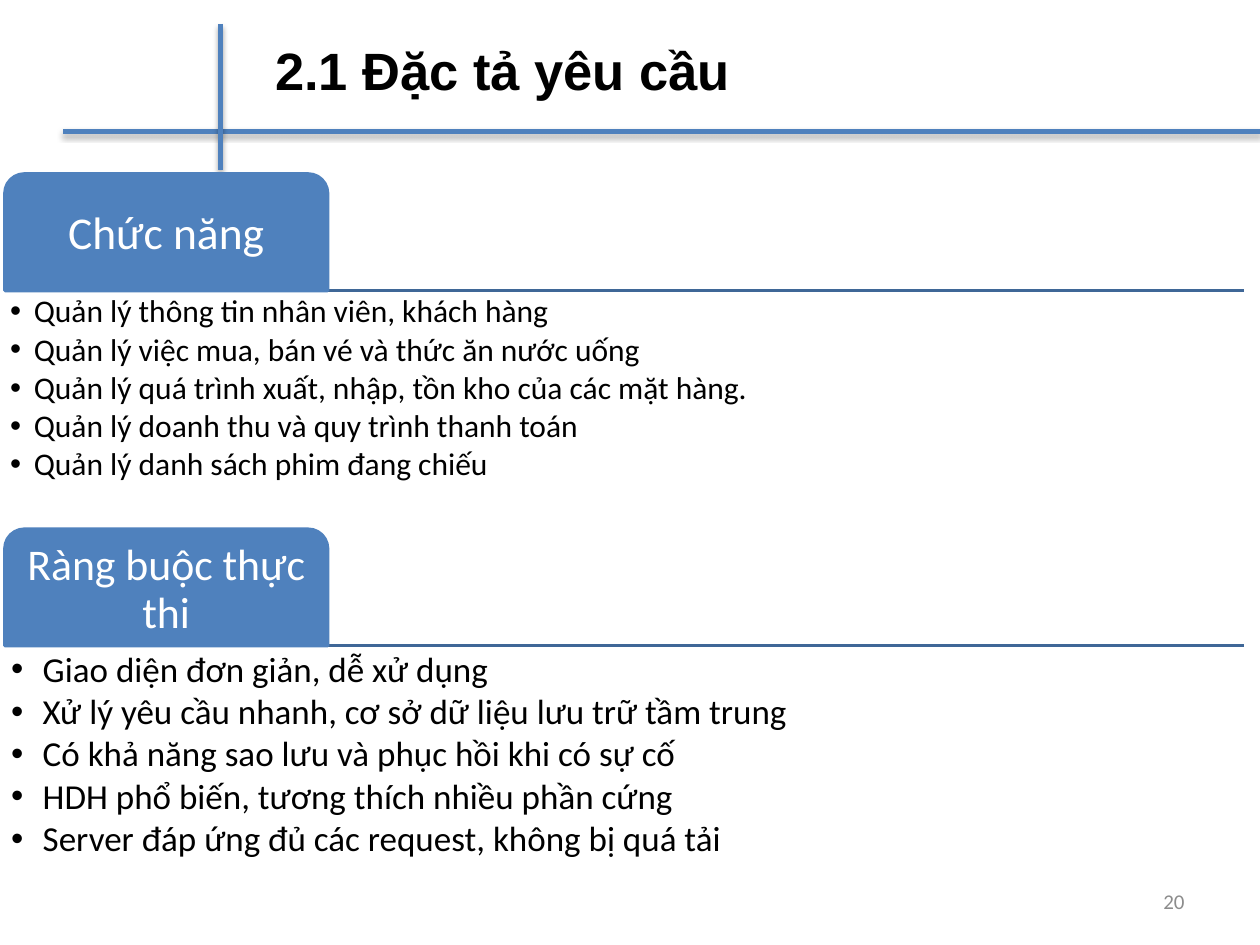
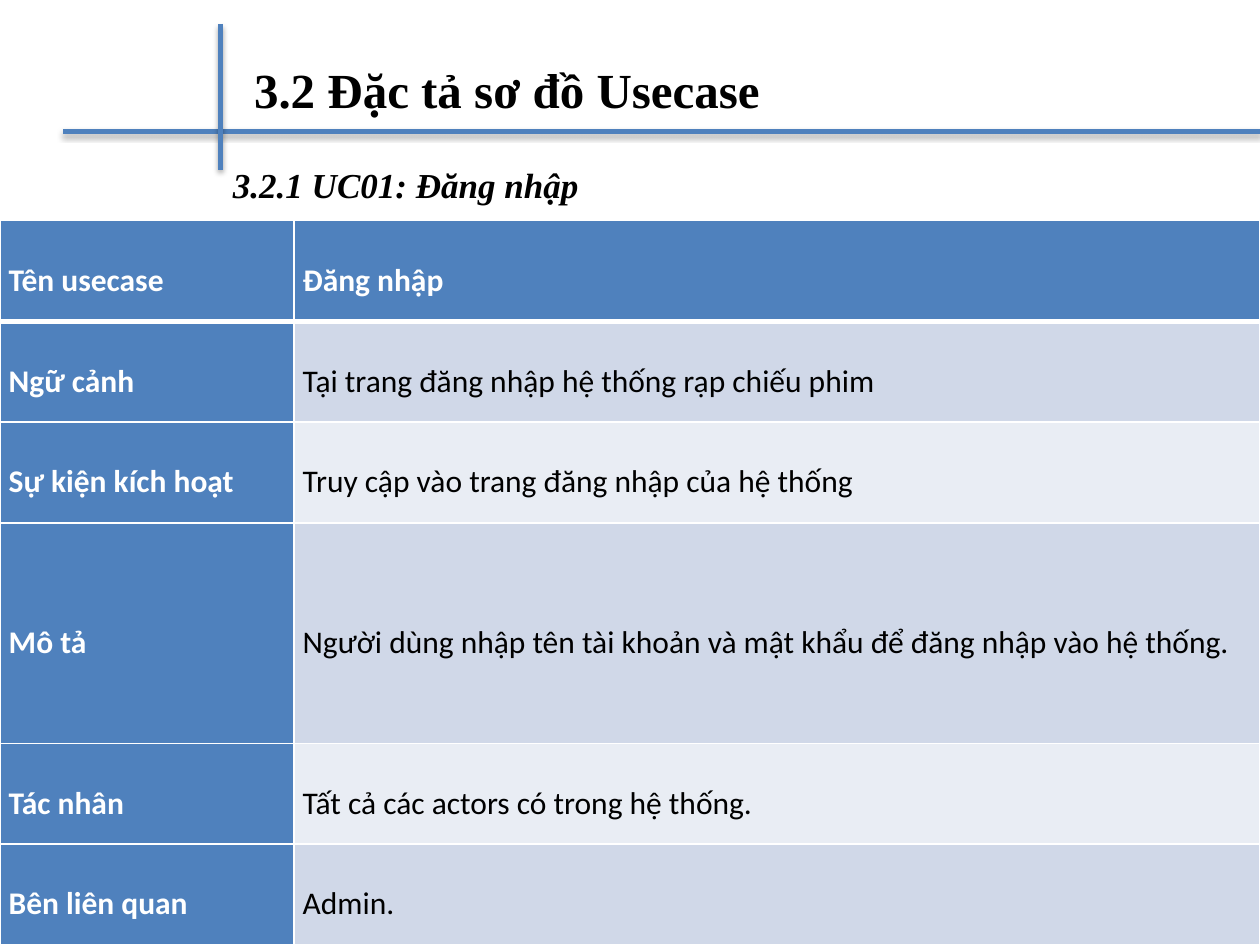
from dataclasses import dataclass

from lxml.etree import SubElement
from pptx import Presentation
from pptx.dml.color import RGBColor
from pptx.enum.shapes import MSO_CONNECTOR, MSO_SHAPE
from pptx.enum.text import MSO_ANCHOR as Anchor, MSO_AUTO_SIZE as AutoSize, PP_ALIGN as Align
from pptx.oxml.ns import qn
from pptx.shapes.connector import Connector
from pptx.slide import Slide
from pptx.table import _Cell as Cell
from pptx.text.text import TextFrame, _Paragraph as Paragraph
from pptx.util import Pt

COLORS = {
    "accent": "4F81BD",
    "rule": "3F6797",
    "band_dark": "D0D8E8",
    "band_light": "E9EDF4",
    "white": "FFFFFF",
    "black": "000000",
    "number": "8C8C8C",
}
SLIDE_WIDTH, SLIDE_HEIGHT = 720, 540
TITLE_ONLY = 5
TAB_LEFT, TAB_WIDTH, TAB_HEIGHT = 2.8, 184.4, 66.6
FIRST_TAB_TOP, SECTION_PITCH = 99.4, 203
SECTION_WIDTH, LIST_HEIGHT = 708, 133
TABLE_TOP = 126
COLUMN_WIDTHS = (168, 552)
ROW_HEIGHT, TALL_ROW_HEIGHT, TALL_ROW = 57.6, 126, 3


@dataclass(frozen=True)
class Box:
    left: float
    top: float
    width: float
    height: float

    def lengths(self) -> tuple[Pt, Pt, Pt, Pt]:
        return Pt(self.left), Pt(self.top), Pt(self.width), Pt(self.height)


@dataclass(frozen=True)
class TextStyle:
    size: float
    font: str = "Calibri"
    color: str = "black"
    bold: bool = False
    italic: bool = False


@dataclass(frozen=True)
class Section:
    heading: str
    heading_size: float
    item_size: float
    indent: float
    inset: float
    items: tuple[str, ...]


SECTIONS = (
    Section("Chức năng", 26, 18, 13.5, 3, (
        "Quản lý thông tin nhân viên, khách hàng",
        "Quản lý việc mua, bán vé và thức ăn nước uống",
        "Quản lý quá trình xuất, nhập, tồn kho của các mặt hàng.",
        "Quản lý doanh thu và quy trình thanh toán",
        "Quản lý danh sách phim đang chiếu",
    )),
    Section("Ràng buộc thực thi", 25, 20, 18, 3.6, (
        "Giao diện đơn giản, dễ xử dụng",
        "Xử lý yêu cầu nhanh, cơ sở dữ liệu lưu trữ tầm trung",
        "Có khả năng sao lưu và phục hồi khi có sự cố",
        "HDH phổ biến, tương thích nhiều phần cứng",
        "Server đáp ứng đủ các request, không bị quá tải",
    )),
)
USECASE_ROWS = (
    ("Tên usecase", "Đăng nhập"),
    ("Ngữ cảnh", "Tại trang đăng nhập hệ thống rạp chiếu phim"),
    ("Sự kiện kích hoạt", "Truy cập vào trang đăng nhập của hệ thống"),
    ("Mô tả", "Người dùng nhập tên tài khoản và mật khẩu để đăng nhập vào hệ thống."),
    ("Tác nhân", "Tất cả các actors có trong hệ thống."),
    ("Bên liên quan", "Admin."),
)


def rgb(name: str) -> RGBColor:
    return RGBColor.from_string(COLORS[name])


def add_run(paragraph: Paragraph, text: str, style: TextStyle) -> None:
    run = paragraph.add_run()
    run.text = text
    font = run.font
    font.size, font.name = Pt(style.size), style.font
    font.bold, font.italic = style.bold, style.italic
    font.color.rgb = rgb(style.color)


def set_insets(frame: TextFrame, inset: float) -> None:
    frame.margin_left = frame.margin_right = Pt(inset)
    frame.margin_top = frame.margin_bottom = Pt(inset)


def add_text(slide: Slide, box: Box, text: str, style: TextStyle,
             align: Align = Align.LEFT, spacing: float = 1.0,
             anchor: Anchor = Anchor.TOP) -> None:
    frame = slide.shapes.add_textbox(*box.lengths()).text_frame
    frame.word_wrap = True
    frame.vertical_anchor = anchor
    paragraph = frame.paragraphs[0]
    paragraph.alignment = align
    paragraph.line_spacing = spacing
    add_run(paragraph, text, style)


def add_line(slide: Slide, start: tuple[float, float], end: tuple[float, float],
             color: str, width: float) -> Connector:
    line = slide.shapes.add_connector(
        MSO_CONNECTOR.STRAIGHT, *(Pt(value) for value in start + end))
    line.line.color.rgb = rgb(color)
    line.line.width = Pt(width)
    SubElement(line._element.spPr, qn("a:effectLst"))
    return line


def add_shadow(line: Connector) -> None:
    effects = line._element.spPr.find(qn("a:effectLst"))
    shadow = SubElement(effects, qn("a:outerShdw"), blurRad=str(Pt(3.1)),
                        dist=str(Pt(1.8)), dir="5400000", rotWithShape="0")
    color = SubElement(shadow, qn("a:srgbClr"), val=COLORS["black"])
    SubElement(color, qn("a:alpha"), val="35000")


def add_titled_slide(presentation: Presentation, title: str, box: Box,
                     style: TextStyle, spacing: float = 1.0) -> Slide:
    """Add a slide with its title and the crossed header lines."""
    slide = presentation.slides.add_slide(presentation.slide_layouts[TITLE_ONLY])
    placeholder = slide.shapes.title
    placeholder.left, placeholder.top, placeholder.width, placeholder.height = box.lengths()
    frame = placeholder.text_frame
    frame.auto_size = AutoSize.NONE
    frame.vertical_anchor = Anchor.TOP
    paragraph = frame.paragraphs[0]
    paragraph.alignment = Align.LEFT
    paragraph.line_spacing = spacing
    add_run(paragraph, title, style)
    for start, end in (((36, 75), (SLIDE_WIDTH, 75)), ((126, 13.7), (126, 97))):
        add_shadow(add_line(slide, start, end, "accent", 3))
    return slide


def add_bullet(paragraph: Paragraph, indent: float) -> None:
    properties = paragraph._p.get_or_add_pPr()
    properties.set("marL", str(Pt(indent)))
    properties.set("indent", str(-Pt(indent)))
    SubElement(properties, qn("a:buFont"), typeface="Arial")
    SubElement(properties, qn("a:buChar"), char="•")


def add_section(slide: Slide, section: Section, top: float) -> None:
    bottom = top + TAB_HEIGHT
    add_line(slide, (TAB_LEFT, bottom), (TAB_LEFT + SECTION_WIDTH, bottom), "rule", 2)

    tab_box = Box(TAB_LEFT, top, TAB_WIDTH, TAB_HEIGHT)
    tab = slide.shapes.add_shape(MSO_SHAPE.ROUND_2_SAME_RECTANGLE, *tab_box.lengths())
    tab.shadow.inherit = False
    tab.fill.solid()
    tab.fill.fore_color.rgb = tab.line.color.rgb = rgb("accent")
    tab.line.width = Pt(2)
    frame = tab.text_frame
    frame.word_wrap = True
    frame.vertical_anchor = Anchor.MIDDLE
    set_insets(frame, 3.6)
    heading = frame.paragraphs[0]
    heading.alignment = Align.CENTER
    heading.line_spacing = 0.9
    add_run(heading, section.heading, TextStyle(section.heading_size, color="white"))

    list_box = Box(TAB_LEFT, bottom, SECTION_WIDTH, LIST_HEIGHT)
    frame = slide.shapes.add_textbox(*list_box.lengths()).text_frame
    frame.word_wrap = True
    set_insets(frame, section.inset)
    for index, item in enumerate(section.items):
        paragraph = frame.add_paragraph() if index else frame.paragraphs[0]
        add_bullet(paragraph, section.indent)
        paragraph.line_spacing = 0.9
        paragraph.space_after = Pt(0.13 * section.item_size)
        add_run(paragraph, item, TextStyle(section.item_size))


def set_borders(cell: Cell, top: float, bottom: float) -> None:
    properties = cell._tc.get_or_add_tcPr()
    widths = {"a:lnL": 1, "a:lnR": 1, "a:lnT": top, "a:lnB": bottom}
    for index, (tag, width) in enumerate(widths.items()):
        border = SubElement(properties, qn(tag), w=str(Pt(width)))
        fill = SubElement(border, qn("a:solidFill"))
        SubElement(fill, qn("a:srgbClr"), val=COLORS["white"])
        properties.insert(index, border)


def fill_cell(cell: Cell, text: str, row: int, column: int) -> None:
    is_heading = row == 0 or column == 0
    band = "band_dark" if row % 2 else "band_light"
    cell.fill.solid()
    cell.fill.fore_color.rgb = rgb("accent" if is_heading else band)
    cell.vertical_anchor = Anchor.MIDDLE
    cell.margin_left = cell.margin_right = Pt(5)
    cell.margin_top = cell.margin_bottom = Pt(0)
    paragraph = cell.text_frame.paragraphs[0]
    paragraph.line_spacing = 1.5
    color = "white" if is_heading else "black"
    add_run(paragraph, text, TextStyle(18, color=color, bold=is_heading))
    set_borders(cell, top=3 if row == 1 else 1, bottom=3 if row == 0 else 1)


def add_usecase_table(slide: Slide) -> None:
    box = Box(0, TABLE_TOP, SLIDE_WIDTH, SLIDE_HEIGHT - TABLE_TOP)
    table = slide.shapes.add_table(
        len(USECASE_ROWS), len(COLUMN_WIDTHS), *box.lengths()).table
    table.first_row = table.horz_banding = False
    for column, width in zip(table.columns, COLUMN_WIDTHS):
        column.width = Pt(width)
    for row, texts in enumerate(USECASE_ROWS):
        table.rows[row].height = Pt(TALL_ROW_HEIGHT if row == TALL_ROW else ROW_HEIGHT)
        for column, text in enumerate(texts):
            fill_cell(table.cell(row, column), text, row, column)


def build_requirements_slide(presentation: Presentation) -> None:
    slide = add_titled_slide(presentation, "2.1 Đặc tả yêu cầu", Box(150, 18, 400, 44),
                             TextStyle(30, "Arial", bold=True))
    for index, section in enumerate(SECTIONS):
        add_section(slide, section, FIRST_TAB_TOP + index * SECTION_PITCH)
    add_text(slide, Box(516, 500.5, 168, 28.8), "20", TextStyle(12, color="number"),
             align=Align.RIGHT, anchor=Anchor.MIDDLE)


def build_usecase_slide(presentation: Presentation) -> None:
    serif = "Times New Roman"
    slide = add_titled_slide(presentation, "3.2 Đặc tả sơ đồ Usecase",
                             Box(138, 13.7, 400, 52), TextStyle(28, serif, bold=True),
                             spacing=1.5)
    add_usecase_table(slide)
    add_text(slide, Box(126, 77.8, 300, 39.6), "3.2.1 UC01: Đăng nhập",
             TextStyle(20, serif, bold=True, italic=True), spacing=1.5)


def main() -> None:
    presentation = Presentation()
    presentation.slide_width = Pt(SLIDE_WIDTH)
    presentation.slide_height = Pt(SLIDE_HEIGHT)
    build_requirements_slide(presentation)
    build_usecase_slide(presentation)
    presentation.save("out.pptx")


if __name__ == "__main__":
    main()
